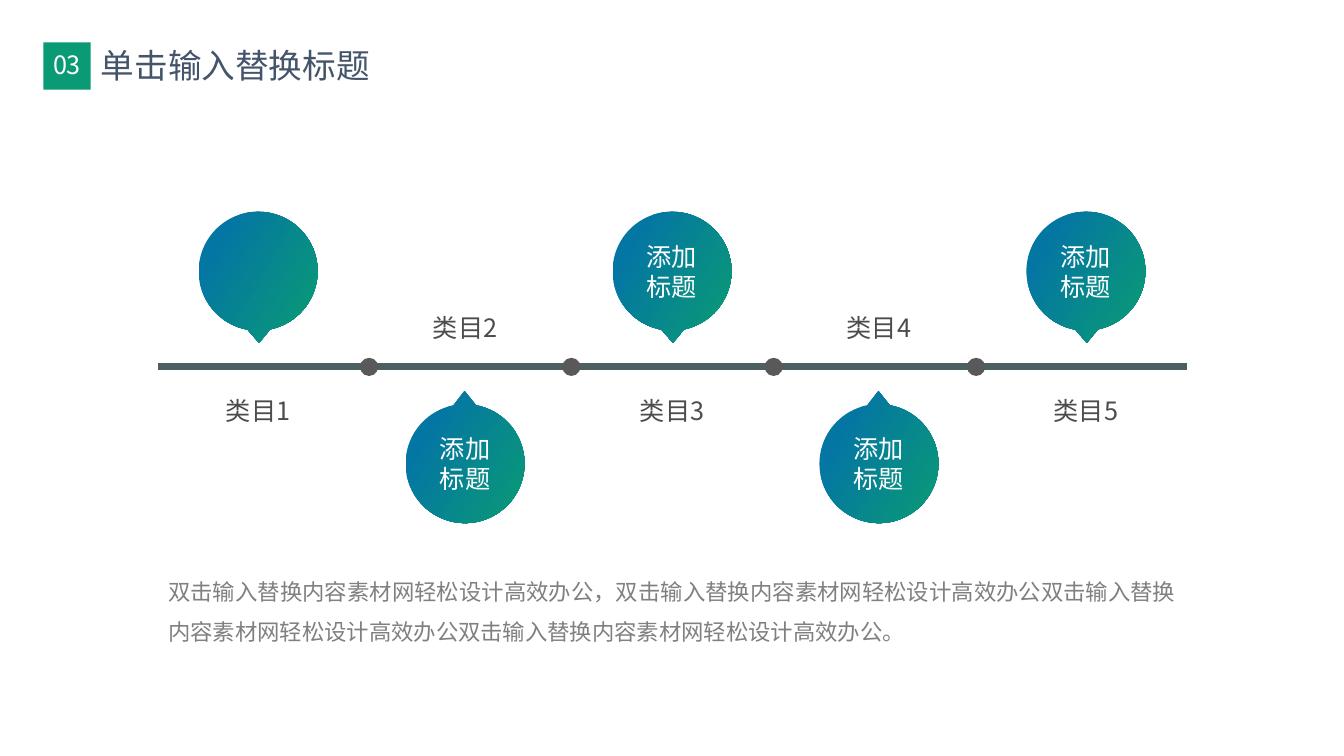
"""Build a five-step timeline slide with alternating callouts."""
import pptx
import pptx.util
import pptx.dml.color
import pptx.enum.shapes
import pptx.enum.text
import pptx.oxml.ns
from lxml import etree

Inches = pptx.util.Inches
RGB = pptx.dml.color.RGBColor.from_string
SHAPES = pptx.enum.shapes.MSO_SHAPE
ALIGN = pptx.enum.text.PP_ALIGN
MIDDLE = pptx.enum.text.MSO_ANCHOR.MIDDLE
qn = pptx.oxml.ns.qn

COLORS = {
    "background": "FFFFFF",
    "title": "44546A",
    "green": "0A9B74",
    "blue": "0476A3",
    "axis": "4C6062",
    "dot": "595959",
    "label": "4C4C4C",
    "body": "808080",
    "white": "FFFFFF",
}
CJK = "Noto Sans CJK SC"


def write(shape, text, size, color, align=ALIGN.CENTER, spacing=None, inset=None, font=CJK):
    frame = shape.text_frame
    frame.text = text
    frame.word_wrap = True
    frame.vertical_anchor = MIDDLE
    if inset is not None:
        frame.margin_left = frame.margin_right = Inches(inset)
        frame.margin_top = frame.margin_bottom = 0
    for paragraph in frame.paragraphs:
        paragraph.alignment = align
        paragraph.line_spacing = spacing
        paragraph.font.size = pptx.util.Pt(size)
        paragraph.font.name = font
        paragraph.font.color.rgb = RGB(COLORS[color])
        defaults = paragraph._p.pPr.find(qn("a:defRPr"))
        etree.SubElement(defaults, qn("a:ea")).set("typeface", font)


def add_solid(kind, left, top, size, color):
    shape = slide.shapes.add_shape(kind, Inches(left), Inches(top), Inches(size), Inches(size))
    shape.shadow.inherit = False
    shape.line.fill.background()
    shape.fill.solid()
    shape.fill.fore_color.rgb = RGB(COLORS[color])
    return shape


deck = pptx.Presentation()
deck.slide_width = Inches(13.33)
deck.slide_height = Inches(7.5)
slide = deck.slides.add_slide(deck.slide_layouts[5])
slide.background.fill.solid()
slide.background.fill.fore_color.rgb = RGB(COLORS["background"])

title = slide.shapes.title
title.left, title.top = Inches(0.9), Inches(0.45)
title.width, title.height = Inches(4.24), Inches(0.4)
write(title, "单击输入替换标题", 24, "title", ALIGN.LEFT, inset=0.1)

section_number = add_solid(SHAPES.RECTANGLE, 0.43, 0.42, 0.47, "green")
write(section_number, "03", 18, "white", spacing=0.9, inset=0)

axis = slide.shapes.add_connector(
    pptx.enum.shapes.MSO_CONNECTOR.STRAIGHT,
    Inches(1.57), Inches(3.64), Inches(11.77), Inches(3.64))
axis.line.color.rgb = RGB(COLORS["axis"])
axis.line.width = pptx.util.Pt(5)
etree.SubElement(axis._element.spPr, qn("a:effectLst"))

for gap in range(4):
    add_solid(SHAPES.OVAL, 3.57 + 2.007 * gap, 3.55, 0.18, "dot")

callout_texts = ["", "添加\n标题", "添加\n标题", "添加\n标题", "添加\n标题"]
for step, callout_text in enumerate(callout_texts):
    above = step % 2 == 0
    left = 1.97 + 2.0525 * step

    label = slide.shapes.add_textbox(
        Inches(left), Inches(3.88 if above else 3.05), Inches(1.18), Inches(0.36))
    write(label, f"类目{step + 1}", 18, "label", spacing=1.1, inset=0)

    callout = add_solid(SHAPES.OVAL_CALLOUT, left, 2.1 if above else 4.01, 1.18, "green")
    callout.adjustments[0] = 0.008 if above else -0.004
    callout.adjustments[1] = 0.604 if above else -0.613
    callout.fill.gradient()
    callout.fill.gradient_angle = 330
    for stop, position, color in zip(callout.fill.gradient_stops, (0.19, 1), ("blue", "green")):
        stop.position = position
        stop.color.rgb = RGB(COLORS[color])
    if callout_text:
        write(callout, callout_text, 18, "white", font=CJK if above else "Roboto")

description = slide.shapes.add_textbox(Inches(1.57), Inches(5.55), Inches(10.2), Inches(0.87))
write(
    description,
    "双击输入替换内容素材网轻松设计高效办公，双击输入替换内容素材网轻松设计高效办公"
    "双击输入替换内容素材网轻松设计高效办公双击输入替换内容素材网轻松设计高效办公。",
    16, "body", ALIGN.JUSTIFY, spacing=1.5)
description.text_frame.vertical_anchor = pptx.enum.text.MSO_ANCHOR.TOP

deck.save("out.pptx")
